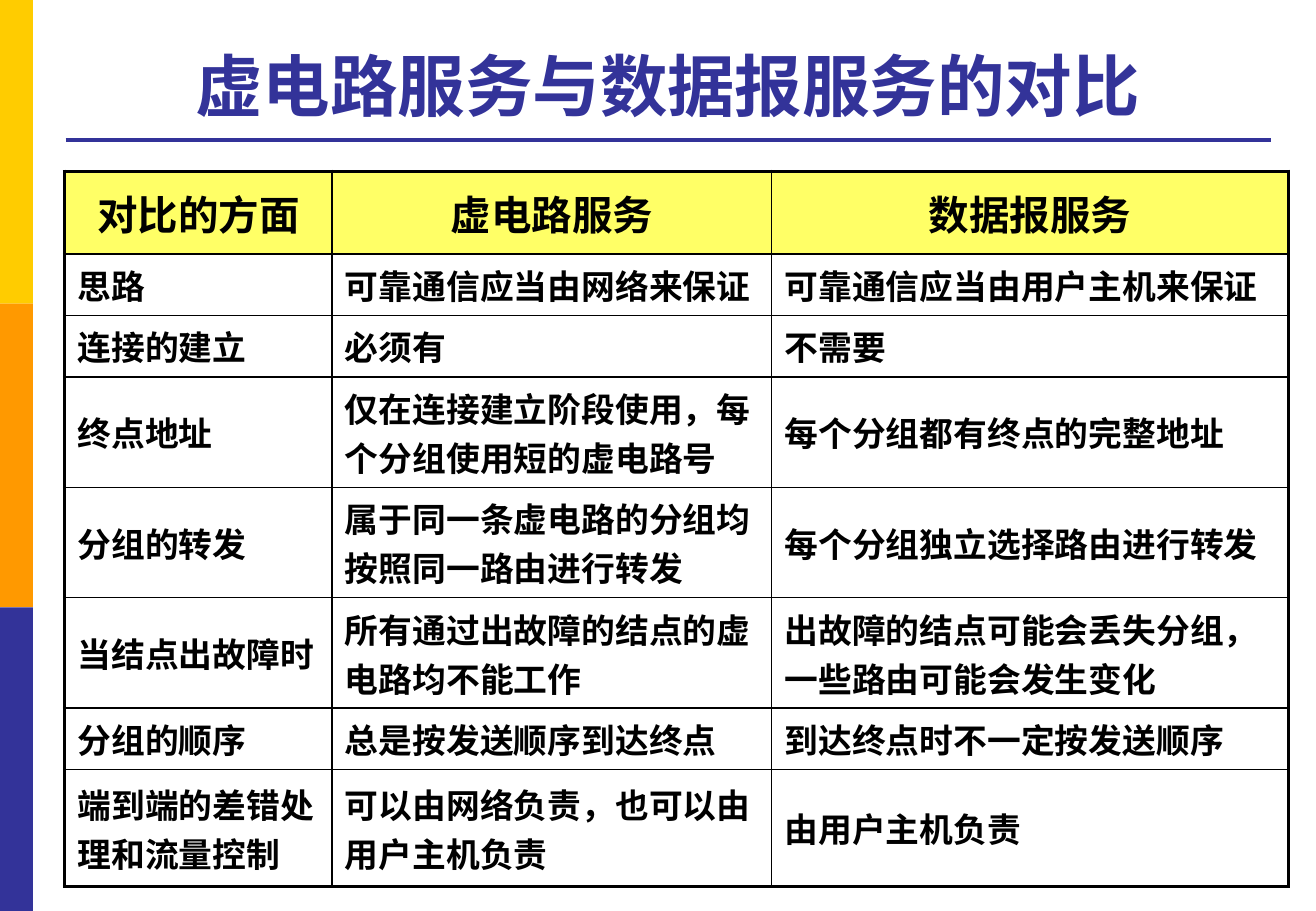
from lxml.etree import SubElement
from pptx import Presentation
from pptx.dml.color import RGBColor
from pptx.enum.shapes import MSO_CONNECTOR as Connector, MSO_SHAPE as Shape
from pptx.enum.text import MSO_ANCHOR as Anchor, PP_ALIGN as Align
from pptx.oxml.ns import qn
from pptx.util import Cm, Pt

CJK_FONT = "Noto Sans CJK SC"
INDIGO = "333399"
BLACK = "000000"
STRIPE_COLOURS = ["FFCC00", "FF9900", INDIGO]
COLUMN_WIDTHS = [5.59, 9.19, 10.8]
ROW_HEIGHTS = [1.73, 1.27, 1.27, 2.3, 2.3, 2.3, 1.27, 2.45]
COMPARISON = [
    ["对比的方面", "虚电路服务", "数据报服务"],
    ["思路", "可靠通信应当由网络来保证", "可靠通信应当由用户主机来保证"],
    ["连接的建立", "必须有", "不需要"],
    ["终点地址", "仅在连接建立阶段使用，每个分组使用短的虚电路号", "每个分组都有终点的完整地址"],
    ["分组的转发", "属于同一条虚电路的分组均按照同一路由进行转发", "每个分组独立选择路由进行转发"],
    ["当结点出故障时", "所有通过出故障的结点的虚电路均不能工作",
     "出故障的结点可能会丢失分组，一些路由可能会发生变化"],
    ["分组的顺序", "总是按发送顺序到达终点", "到达终点时不一定按发送顺序"],
    ["端到端的差错处理和流量控制", "可以由网络负责，也可以由用户主机负责", "由用户主机负责"],
]


def colour(value):
    return RGBColor.from_string(value)


def write(frame, text, size, font_name, text_colour, align):
    paragraph = frame.paragraphs[0]
    paragraph.text = text
    paragraph.alignment = align
    font = paragraph.font
    font.name = font_name
    font.size = Pt(size)
    font.bold = True
    font.color.rgb = colour(text_colour)
    defaults = paragraph._p.pPr.find(qn("a:defRPr"))
    SubElement(defaults, qn("a:ea"), typeface=CJK_FONT)


def add_stripe(slide, top, height, fill):
    stripe = slide.shapes.add_shape(Shape.RECTANGLE, 0, Cm(top), Cm(0.69), Cm(height))
    stripe.shadow.inherit = False
    stripe.fill.solid()
    stripe.fill.fore_color.rgb = colour(fill)
    stripe.line.fill.background()


def add_title(slide, text):
    title = slide.shapes.add_textbox(Cm(1.37), Cm(0.53), Cm(25.17), Cm(2.21))
    frame = title.text_frame
    frame.word_wrap = True
    frame.vertical_anchor = Anchor.BOTTOM
    write(frame, text, 40, CJK_FONT, INDIGO, Align.CENTER)


def add_rule(slide):
    rule = slide.shapes.add_connector(Connector.STRAIGHT, Cm(1.37), Cm(2.92), Cm(26.57), Cm(2.92))
    rule.line.color.rgb = colour(INDIGO)
    rule.line.width = Pt(2.25)
    SubElement(rule._element.spPr, qn("a:effectLst"))


def set_borders(cell, outer_sides):
    properties = cell._tc.get_or_add_tcPr()
    for side in "LRTB":
        width = Pt(2.25 if side in outer_sides else 1)
        border = SubElement(properties, qn(f"a:ln{side}"), w=str(int(width)))
        fill = SubElement(border, qn("a:solidFill"))
        SubElement(fill, qn("a:srgbClr"), val=BLACK)


def fill_cell(cell, text, is_header, outer_sides):
    cell.vertical_anchor = Anchor.MIDDLE
    cell.margin_left = cell.margin_right = Cm(0.27)
    cell.margin_top = cell.margin_bottom = Cm(0.13)
    set_borders(cell, outer_sides)
    if is_header:
        cell.fill.solid()
        cell.fill.fore_color.rgb = colour("FFFF66")
    else:
        cell.fill.background()
    write(cell.text_frame, text, 24 if is_header else 20, "Arial", BLACK,
          Align.CENTER if is_header else Align.LEFT)


def add_comparison(slide):
    last_row, last_column = len(ROW_HEIGHTS) - 1, len(COLUMN_WIDTHS) - 1
    table = slide.shapes.add_table(
        len(ROW_HEIGHTS), len(COLUMN_WIDTHS), Cm(1.35), Cm(3.58),
        Cm(sum(COLUMN_WIDTHS)), Cm(sum(ROW_HEIGHTS))).table
    table.horz_banding = False
    for column, width in zip(table.columns, COLUMN_WIDTHS):
        column.width = Cm(width)
    for row, height in zip(table.rows, ROW_HEIGHTS):
        row.height = Cm(height)
    for r, texts in enumerate(COMPARISON):
        for c, text in enumerate(texts):
            edges = {"L": c == 0, "R": c == last_column, "T": r == 0, "B": r == last_row}
            outer_sides = [side for side, is_outer in edges.items() if is_outer]
            fill_cell(table.cell(r, c), text, r == 0, outer_sides)


def main():
    presentation = Presentation()
    presentation.slide_width = Cm(27.51)
    presentation.slide_height = Cm(19.05)
    slide = presentation.slides.add_slide(presentation.slide_layouts[6])
    stripe_height = 19.05 / len(STRIPE_COLOURS)
    for index, fill in enumerate(STRIPE_COLOURS):
        add_stripe(slide, index * stripe_height, stripe_height, fill)
    add_rule(slide)
    add_comparison(slide)
    add_title(slide, "虚电路服务与数据报服务的对比")
    presentation.save("out.pptx")


if __name__ == "__main__":
    main()
